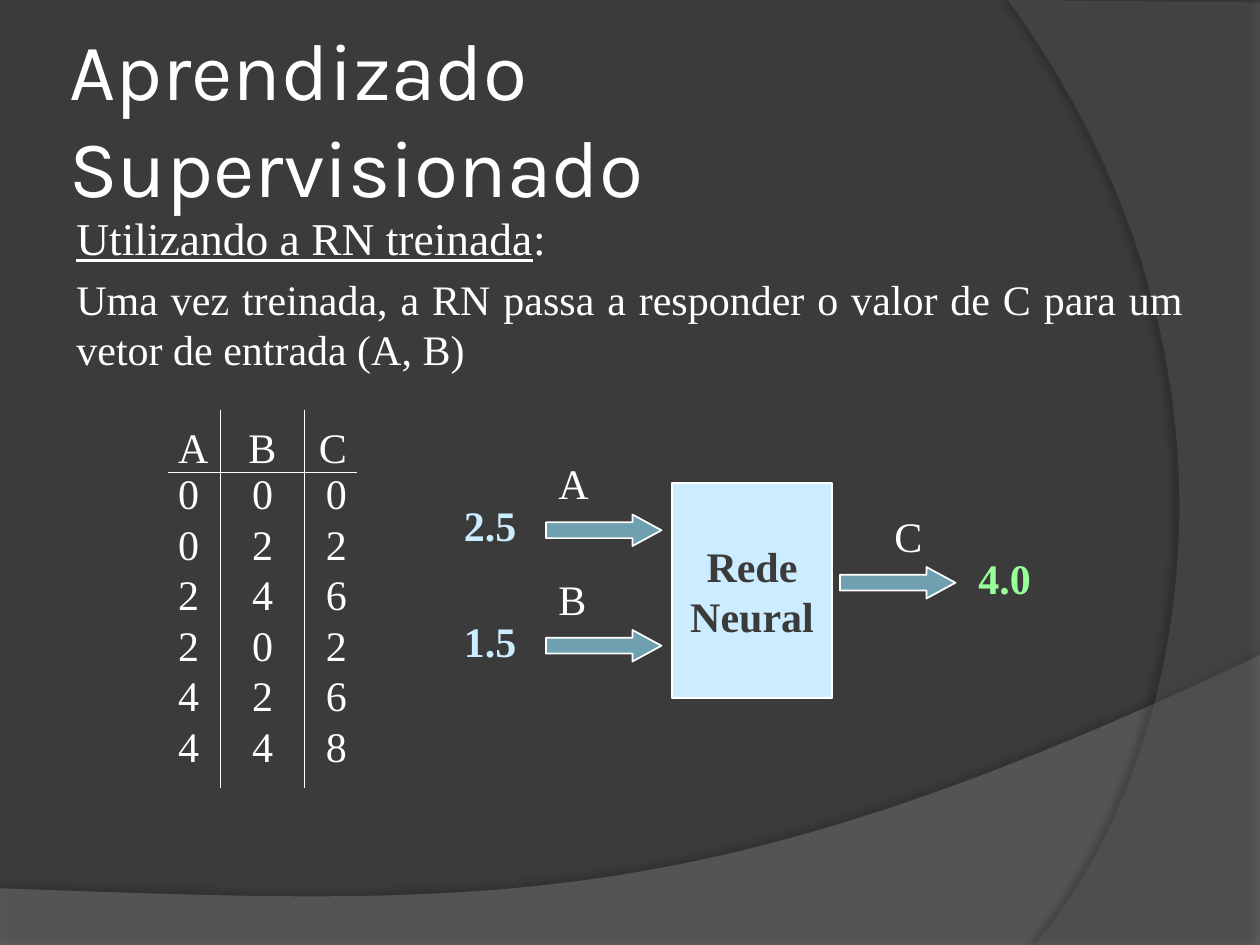
from lxml import etree
from pptx import Presentation
from pptx.dml.color import RGBColor
from pptx.enum.shapes import MSO_SHAPE
from pptx.enum.text import MSO_ANCHOR, PP_ALIGN
from pptx.oxml import parse_xml
from pptx.oxml.ns import nsdecls, qn
from pptx.util import Inches, Pt

RECT, ARROW = MSO_SHAPE.RECTANGLE, MSO_SHAPE.RIGHT_ARROW
LEFT, CENTER, RIGHT, JUSTIFY = PP_ALIGN.LEFT, PP_ALIGN.CENTER, PP_ALIGN.RIGHT, PP_ALIGN.JUSTIFY
TOP, MIDDLE, BOTTOM = MSO_ANCHOR.TOP, MSO_ANCHOR.MIDDLE, MSO_ANCHOR.BOTTOM
COLS, ROWS = 120, 90
DARK, WHITE, PALE, TEAL, GREEN = "3B3B3B", "FFFFFF", "CCECFF", "6EA0B0", "99FF99"
SERIF, SANS = "Times New Roman", "Karla"
BODY = (
    ("Utilizando a RN treinada", ":"),
    ("Uma vez treinada, a RN passa a responder o valor de C para um vetor de entrada (A, B)",),
)
SAMPLES = ("ABC", "000", "022", "246", "202", "426", "448")


def rgb(value):
    return RGBColor.from_string(value)


def curve(p0, p1, p2, p3, steps=60):
    points = []
    for i in range(steps + 1):
        t = i / steps
        u = 1 - t
        points.append(tuple(u**3 * a + 3 * u * u * t * b + 3 * u * t * t * c + t**3 * d
                            for a, b, c, d in zip(p0, p1, p2, p3)))
    return points


class Deck:
    """Style and current slide, measured on a grid of 120 columns by 90 rows."""

    def __init__(self, width=10, height=7.5):
        self.prs = Presentation()
        self.prs.slide_width, self.prs.slide_height = Inches(width), Inches(height)
        self.dx, self.dy = Inches(width) / COLS, Inches(height) / ROWS

    def slide(self, color):
        self.s = self.prs.slides.add_slide(self.prs.slide_layouts[6])
        fill = self.s.background.fill
        fill.solid()
        fill.fore_color.rgb = rgb(color)

    def box(self, x, y, w, h):
        return round(x * self.dx), round(y * self.dy), round(w * self.dx), round(h * self.dy)

    def font(self, p, size=24, color=WHITE, name=SERIF, bold=False, align=LEFT):
        p.alignment = align
        for r in p.runs:
            r.font.size, r.font.name, r.font.bold = Pt(size), name, bold
            r.font.color.rgb = rgb(color)

    def wave(self, points, color, alpha, shade, dist, angle):
        corners = [(Inches(x), Inches(y)) for x, y in points]
        builder = self.s.shapes.build_freeform(*corners[0])
        builder.add_line_segments(corners[1:], close=True)
        sp = builder.convert_to_shape()
        sp.line.fill.background()
        sp.fill.solid()
        sp.fill.fore_color.rgb = rgb(color)
        tint = sp.fill._xPr.find(".//" + qn("a:srgbClr"))
        etree.SubElement(tint, qn("a:alpha"), val=str(alpha * 1000))
        sp._element.spPr.append(parse_xml(
            f'<a:effectLst {nsdecls("a")}><a:outerShdw blurRad="{Pt(4)}" dist="{Pt(dist)}" '
            f'dir="{angle * 60000}" algn="ctr" rotWithShape="0"><a:srgbClr val="000000">'
            f'<a:alpha val="{shade * 1000}"/></a:srgbClr></a:outerShdw></a:effectLst>'))

    def shape(self, kind, x, y, w, h, color):
        sp = self.s.shapes.add_shape(kind, *self.box(x, y, w, h))
        sp.shadow.inherit = False
        sp.fill.solid()
        sp.fill.fore_color.rgb = rgb(color)
        sp.line.color.rgb, sp.line.width = rgb(WHITE), Pt(1)
        return sp

    def block(self, x, y, w, h, lines, color):
        sp = self.shape(RECT, x, y, w, h, color)
        tf = sp.text_frame
        tf.text, tf.vertical_anchor = lines, MIDDLE
        for p in tf.paragraphs:
            self.font(p, color=DARK, bold=True, align=CENTER)

    def arrow(self, x, y):
        sp = self.shape(ARROW, x, y, 11, 3, TEAL)
        sp.adjustments[0], sp.adjustments[1] = 0.5, 0.92

    def text(self, x, y, w, h, text="", **style):
        tf = self.s.shapes.add_textbox(*self.box(x, y, w, h)).text_frame
        tf.word_wrap, tf.text = True, text
        self.font(tf.paragraphs[0], **style)
        return tf

    def title(self, x, y, w, h, text):
        tf = self.text(x, y, w, h, text, size=46, name=SANS)
        tf.vertical_anchor = MIDDLE
        tf.margin_left = tf.margin_right = Inches(0.05)

    def body(self, x, y, w, h, paragraphs):
        tf = self.text(x, y, w, h)
        for i, parts in enumerate(paragraphs):
            p = tf.add_paragraph() if i else tf.paragraphs[0]
            for part in parts:
                p.add_run().text = part
            self.font(p, size=24 if i else 26, align=JUSTIFY)
            if i:
                p.space_before = Pt(5)
        tf.paragraphs[0].runs[0].font.underline = True

    def border(self, cell, sides):
        tc = cell._tc.get_or_add_tcPr()
        for i, side in enumerate("LRTB"):
            paint = (f'<a:solidFill><a:srgbClr val="{WHITE}"/></a:solidFill>'
                     if side in sides else "<a:noFill/>")
            tc.insert(i, parse_xml(f'<a:ln{side} {nsdecls("a")} w="{Pt(1)}">{paint}</a:ln{side}>'))

    def table(self, x, y, widths, heights, rows):
        frame = self.s.shapes.add_table(len(rows), len(widths),
                                        *self.box(x, y, sum(widths), sum(heights)))
        table = frame.table
        table.first_row = table.horz_banding = False
        for column, w in zip(table.columns, widths):
            column.width = round(w * self.dx)
        for i, (row, h) in enumerate(zip(rows, heights)):
            table.rows[i].height = round(h * self.dy)
            for j, (value, align) in enumerate(zip(row, (LEFT, CENTER, RIGHT))):
                cell = table.cell(i, j)
                cell.text = value
                cell.margin_top = cell.margin_bottom = 0
                cell.margin_left = cell.margin_right = Inches(0.08)
                cell.vertical_anchor = TOP if i else BOTTOM
                cell.fill.background()
                self.font(cell.text_frame.paragraphs[0], align=align)
                sides = ("L" if j else "") + ("R" if j < len(widths) - 1 else "")
                self.border(cell, sides + ("B" if i == 0 else "T" if i == 1 else ""))


def main():
    deck = Deck()
    deck.slide(DARK)
    deck.wave([(0, 7.5), (10, 7.5)] + curve((10, 5.2), (5.59, 7.29), (3.91, 7.19), (0, 7.05)),
              "7F7F7F", 45, shade=35, dist=3.5, angle=270)
    deck.wave([(10, 0.02), (10, 7.5)] + curve((8.21, 7.5), (9.35, 6.19), (10.18, 3), (8, 0)),
              "5E5E5E", 40, shade=45, dist=4, angle=180)

    deck.title(6, 3.6, 98, 15, "Aprendizado Supervisionado")
    deck.body(6.1, 19.4, 107.8, 15, BODY)
    deck.table(16, 39, (5, 8, 5), (6, *[4.8] * 5, 6), SAMPLES)

    deck.block(64, 46, 15.25, 20.5, "Rede\nNeural", PALE)
    for x, y, name in ((52, 49, "A"), (52, 60, "B"), (80, 54, "C")):
        deck.arrow(x, y)
        deck.text(x if name != "C" else x + 4, y - 6, 6, 6, name)
    for x, y, w, value, color in ((43, 47, 8, "2.5", PALE), (43, 58, 8, "1.5", PALE),
                                  (92, 52, 15, "4.0", GREEN)):
        deck.text(x, y, w, 6, value, color=color, bold=True)
    deck.prs.save("out.pptx")


if __name__ == "__main__":
    main()
